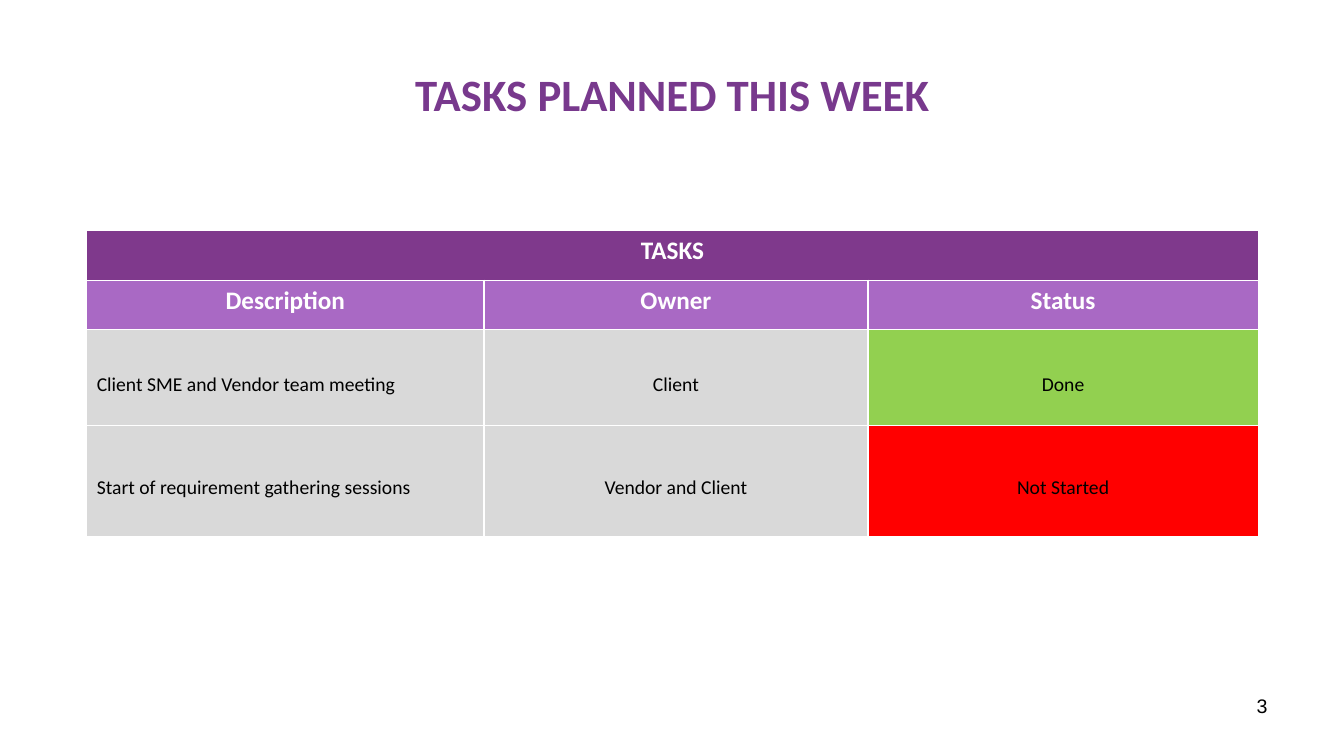
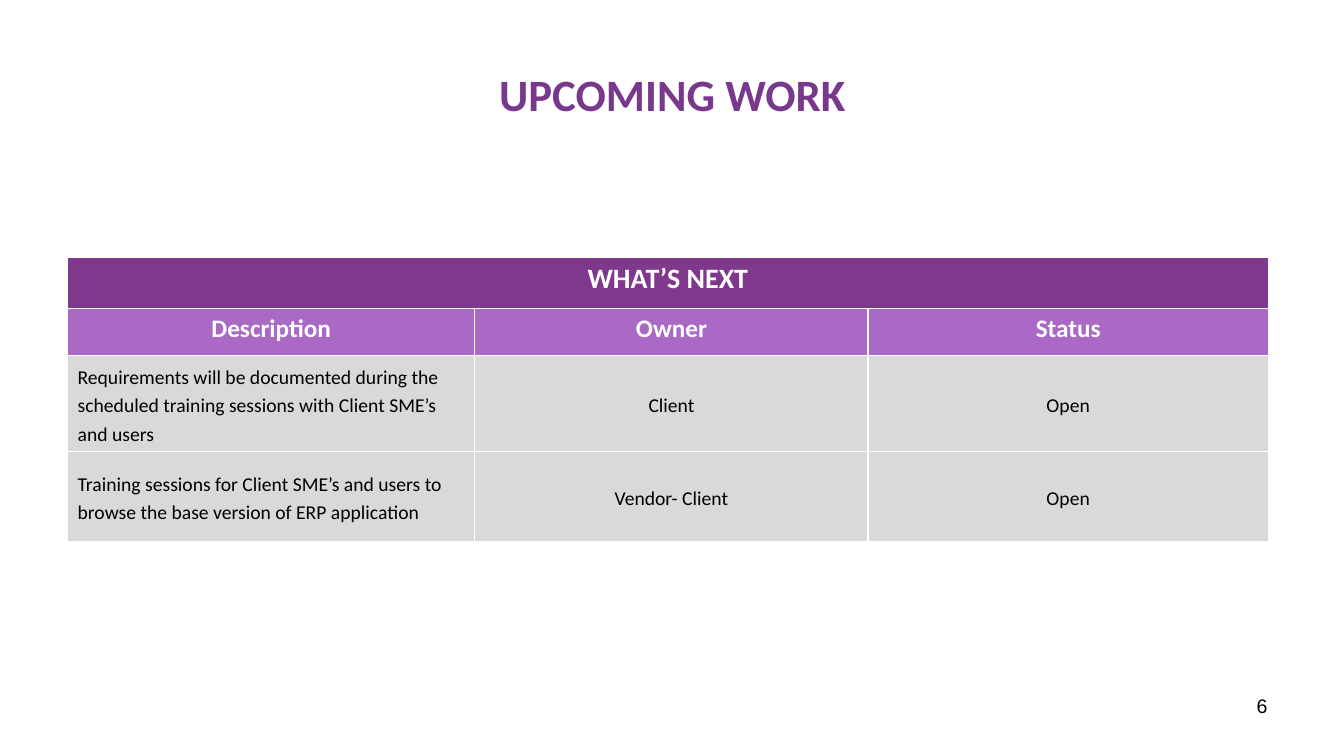
from lxml.etree import SubElement
from pptx import Presentation
from pptx.dml.color import RGBColor
from pptx.enum.text import MSO_ANCHOR, PP_ALIGN
from pptx.oxml.ns import qn
from pptx.util import Inches, Pt

TITLE = RGBColor(0x78, 0x39, 0x8D)
BAND = RGBColor(0x7F, 0x39, 0x8C)
HEAD = RGBColor(0xA9, 0x69, 0xC4)
GRAY = RGBColor(0xD9, 0xD9, 0xD9)
GREEN = RGBColor(0x92, 0xD0, 0x50)
RED = RGBColor(0xFF, 0x00, 0x00)
WHITE = RGBColor(0xFF, 0xFF, 0xFF)
BLACK = RGBColor(0x00, 0x00, 0x00)

FILLS = {"Done": GREEN, "Not Started": RED}
LABELS = ["Description", "Owner", "Status"]

SLIDES = [
    {
        "title": "TASKS PLANNED THIS WEEK", "page": "3",
        "left": 0.86, "top": 2.29, "space": 1.6, "size": 18,
        "cols": [3.94, 3.81, 3.87], "rows": [0.49, 0.49, 0.95, 1.1],
        "cells": [
            ["TASKS", "", ""],
            LABELS,
            ["Client SME and Vendor team meeting", "Client", "Done"],
            ["Start of requirement gathering sessions", "Vendor and Client",
             "Not Started"],
        ],
    },
    {
        "title": "UPCOMING WORK", "page": "6",
        "left": 0.67, "top": 2.55, "space": 1.2, "size": 20,
        "cols": [4.04, 3.9, 3.97], "rows": [0.51, 0.47, 0.95, 0.89],
        "cells": [
            ["WHAT’S NEXT", "", ""],
            LABELS,
            ["Requirements will be documented during the scheduled training "
             "sessions with Client SME’s and users", "Client", "Open"],
            ["Training sessions for Client SME’s and users to browse the base "
             "version of ERP application", "Vendor- Client", "Open"],
        ],
    },
]


def write(frame, text, size, color, align, bold=False, font="Calibri"):
    """Put one styled paragraph into a text frame and return it."""
    frame.text = text
    frame.word_wrap = True
    para = frame.paragraphs[0]
    para.alignment = align
    for run in para.runs:
        run.font.name = font
        run.font.size = Pt(size)
        run.font.bold = bold
        run.font.color.rgb = color
    return para


def border(cell):
    """Draw a thin white line on all four sides of a cell."""
    props = cell._tc.get_or_add_tcPr()
    for side in ("a:lnL", "a:lnR", "a:lnT", "a:lnB"):
        line = SubElement(props, qn(side), w=str(Pt(1)))
        fill = SubElement(line, qn("a:solidFill"))
        SubElement(fill, qn("a:srgbClr"), val=str(WHITE))


deck = Presentation()
deck.slide_width = Inches(13.33)
deck.slide_height = Inches(7.5)

for data in SLIDES:
    slide = deck.slides.add_slide(deck.slide_layouts[6])

    title = slide.shapes.add_textbox(Inches(0.67), Inches(0.3), Inches(12), Inches(1.25))
    write(title.text_frame, data["title"], 32, TITLE, PP_ALIGN.CENTER, bold=True)
    title.text_frame.vertical_anchor = MSO_ANCHOR.MIDDLE

    cols, rows = data["cols"], data["rows"]
    table = slide.shapes.add_table(
        len(rows), len(cols), Inches(data["left"]), Inches(data["top"]),
        Inches(sum(cols)), Inches(sum(rows))).table
    for col, width in zip(table.columns, cols):
        col.width = Inches(width)
    for row, height in zip(table.rows, rows):
        row.height = Inches(height)

    for r, texts in enumerate(data["cells"]):
        for c, text in enumerate(texts):
            cell = table.cell(r, c)
            border(cell)
            cell.fill.solid()
            if r < 2:
                cell.fill.fore_color.rgb = HEAD if r else BAND
                size = 18 if r else data["size"]
                write(cell.text_frame, text, size, WHITE, PP_ALIGN.CENTER, bold=True)
            else:
                cell.fill.fore_color.rgb = FILLS.get(text, GRAY)
                align = PP_ALIGN.CENTER if c else PP_ALIGN.LEFT
                para = write(cell.text_frame, text, 14, BLACK, align)
                para.line_spacing = data["space"]
                cell.vertical_anchor = MSO_ANCHOR.MIDDLE
    table.cell(0, 0).merge(table.cell(0, len(cols) - 1))

    page = slide.shapes.add_textbox(Inches(9.56), Inches(6.83), Inches(3.11), Inches(0.52))
    write(page.text_frame, data["page"], 14, BLACK, PP_ALIGN.RIGHT, font="Arial")

deck.save("out.pptx")
